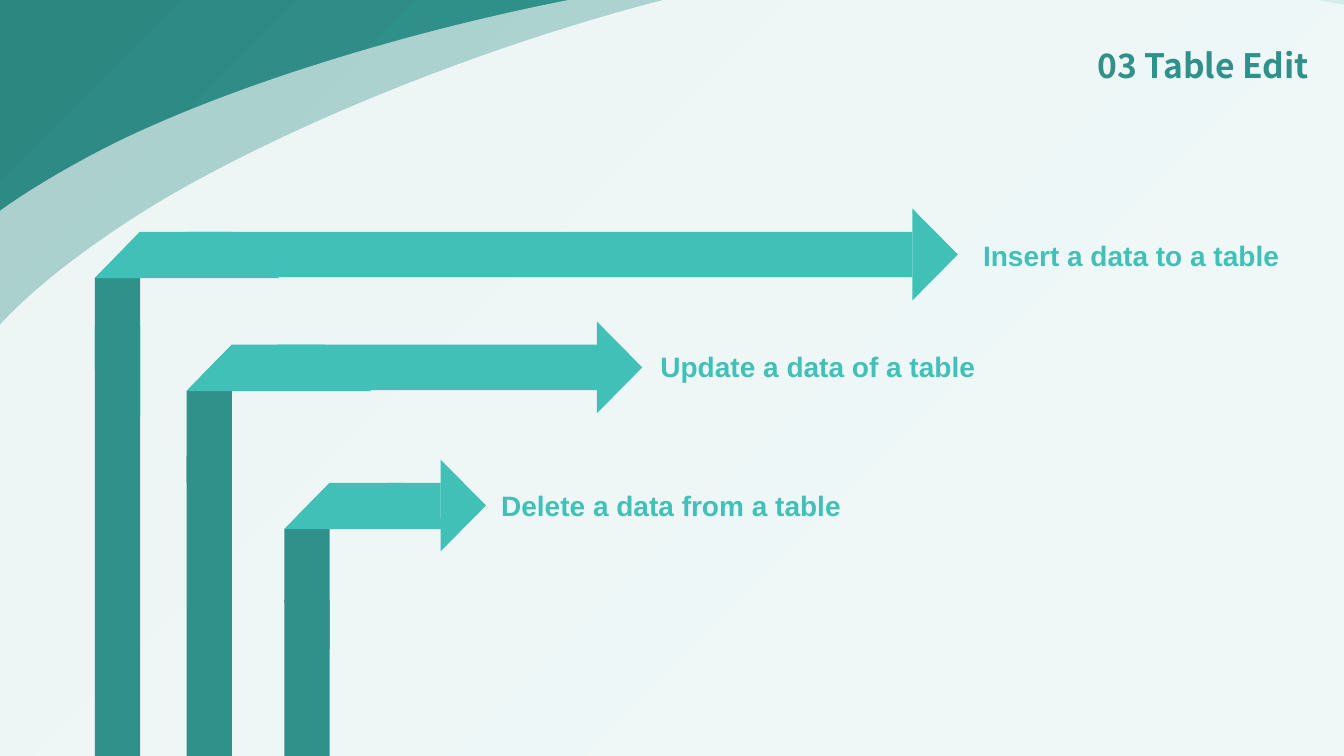
from lxml import etree
from pptx import Presentation
from pptx.dml.color import RGBColor
from pptx.enum.shapes import MSO_SHAPE
from pptx.enum.text import MSO_ANCHOR, PP_ALIGN
from pptx.oxml import parse_xml
from pptx.oxml.ns import nsdecls, qn
from pptx.util import Inches, Pt

RECTANGLE = MSO_SHAPE.RECTANGLE
TRIANGLE = MSO_SHAPE.ISOSCELES_TRIANGLE
LEFT, RIGHT = PP_ALIGN.LEFT, PP_ALIGN.RIGHT
TOP, MIDDLE = MSO_ANCHOR.TOP, MSO_ANCHOR.MIDDLE

WHITE = RGBColor(0xFF, 0xFF, 0xFF)
DEEP_TEAL = RGBColor(0x30, 0x91, 0x8B)
LIGHT_TEAL = RGBColor(0x41, 0xC0, 0xB8)
SEA_TEAL = RGBColor(0x39, 0xAC, 0xA5)
DARK_TEAL = RGBColor(0x2D, 0x87, 0x81)

PAGE_WIDTH, PAGE_HEIGHT = 13.33, 7.5
BAND = 0.45
HEAD_SPAN = 0.91
FOLD = 0.46

BACKDROP_STOPS = [(0, SEA_TEAL), (23, SEA_TEAL), (69, DEEP_TEAL), (97, DARK_TEAL)]

OUTER_WAVE = [
    (-1.35, 3.89), (-1.02, 2.97), (-0.61, 2.34), (0.96, 1.51),
    (2.52, 0.69), (5.64, -0.2), (8.13, -0.32),
    (10.63, -0.43), (14.36, -0.01), (15.92, 0.82),
    (17.49, 1.64), (19.27, 4.16), (18.18, 5.46),
    (17.08, 6.77), (11.33, 9.31), (8.13, 9.57),
    (4.93, 9.82), (0.52, 7.85), (-1.04, 7.02),
    (-2.61, 6.2), (-1.68, 4.81), (-1.35, 3.89),
]
INNER_WAVE = [
    (-0.83, 4.83), (-0.59, 3.88), (-0.25, 3.21), (1.22, 2.23),
    (2.69, 1.25), (5.7, 0.04), (8.17, -0.33),
    (10.64, -0.7), (14.39, -0.66), (16.03, 0),
    (17.67, 0.66), (19.71, 2.98), (18.75, 4.39),
    (17.8, 5.8), (12.34, 8.91), (9.18, 9.5),
    (6.02, 10.09), (1.43, 8.57), (-0.21, 7.91),
    (-1.84, 7.26), (-1.07, 5.78), (-0.83, 4.83),
]

ARROWS = [
    ("Insert a data to a table", 0.94, 2.3, 3.23, 1.84, 9.05, 1.37, (9.7, 2.22, 3.05)),
    ("Update a data of a table", 1.85, 3.42, 4.52, 2.75, 5.92, 1.37, (6.5, 3.32, 3.23)),
    ("Delete a data from a table", 2.82, 4.79, 5.95, 3.84, 4.37, 1.19, (4.92, 4.7, 3.48)),
]


class TableEditSlide:
    def __init__(self, page):
        self.shapes = page.shapes

    def paint(self, shape, color):
        shape.shadow.inherit = False
        shape.fill.solid()
        shape.fill.fore_color.rgb = color
        shape.line.fill.background()
        return shape

    def block(self, kind, left, top, width, height, color):
        shape = self.shapes.add_shape(
            kind, Inches(left), Inches(top), Inches(width), Inches(height))
        return self.paint(shape, color)

    def outline(self, points, color):
        corners = [(Inches(x), Inches(y)) for x, y in points]
        builder = self.shapes.build_freeform(*corners[0])
        builder.add_line_segments(corners[1:], close=True)
        return self.paint(builder.convert_to_shape(), color)

    def backdrop(self):
        shape = self.block(RECTANGLE, 0, 0, PAGE_WIDTH, PAGE_HEIGHT, DEEP_TEAL)
        stops = "".join(
            f'<a:gs pos="{place * 1000}"><a:srgbClr val="{color}"/></a:gs>'
            for place, color in BACKDROP_STOPS)
        gradient = parse_xml(
            f'<a:gradFill {nsdecls("a")} rotWithShape="1"><a:gsLst>{stops}</a:gsLst>'
            '<a:lin ang="13500000" scaled="0"/></a:gradFill>')
        properties = shape.element.spPr
        properties.replace(properties.find(qn("a:solidFill")), gradient)

    def wave(self, points, opacity):
        shape = self.outline(points, WHITE)
        properties = shape.element.spPr
        segments = list(properties.iter(qn("a:lnTo")))
        for start in range(0, len(points) - 1, 3):
            trio = segments[start:start + 3]
            curve = etree.Element(qn("a:cubicBezTo"))
            trio[0].addprevious(curve)
            for segment in trio:
                curve.append(segment[0])
                segment.getparent().remove(segment)
        color = properties.find(qn("a:solidFill"))[0]
        etree.SubElement(color, qn("a:alpha")).set("val", str(opacity * 1000))

    def label(self, text, area, size, font, color, spacing,
              align=LEFT, anchor=TOP, wrap=False):
        box = self.shapes.add_textbox(*map(Inches, area))
        frame = box.text_frame
        frame.word_wrap = wrap
        frame.vertical_anchor = anchor
        frame.margin_left = frame.margin_right = Inches(0.05)
        frame.margin_top = frame.margin_bottom = Inches(0.05)
        frame.text = text
        para = frame.paragraphs[0]
        para.alignment = align
        para.line_spacing = spacing
        span = para.runs[0]
        span.font.name = font
        span.font.size = Pt(size)
        span.font.bold = True
        span.font.color.rgb = color
        properties = span.font._element
        latin = properties.find(qn("a:latin"))
        east_asian = etree.Element(qn("a:ea"))
        east_asian.set("typeface", font)
        latin.addnext(east_asian)

    def folded_arrow(self, caption, left, top, post_top, bar_left, head_left, reach, place):
        right, crease = left + BAND, top + FOLD
        self.outline([(left, top + reach), (left, crease), (right, top),
                      (right, top + reach + FOLD)], DEEP_TEAL)
        self.block(RECTANGLE, left, post_top, BAND, PAGE_HEIGHT - post_top, DEEP_TEAL)
        self.outline([(left + reach, top), (right, top), (left, crease),
                      (left + reach + FOLD, crease)], LIGHT_TEAL)
        self.block(RECTANGLE, bar_left, top, head_left - bar_left, BAND, LIGHT_TEAL)
        head = self.block(TRIANGLE, head_left + (BAND - HEAD_SPAN) / 2, top,
                          HEAD_SPAN, BAND, LIGHT_TEAL)
        head.rotation = 90
        self.label(caption, (*place, 0.41), 20, "Arial", LIGHT_TEAL, 1.3)


def main():
    deck = Presentation()
    deck.slide_width = Inches(PAGE_WIDTH)
    deck.slide_height = Inches(PAGE_HEIGHT)
    slide = TableEditSlide(deck.slides.add_slide(deck.slide_layouts[6]))
    slide.backdrop()
    slide.wave(OUTER_WAVE, 60)
    slide.wave(INNER_WAVE, 80)
    slide.label("03 Table Edit", (7.23, 0.28, 5.8, 0.79), 24, "Noto Sans CJK SC",
                DEEP_TEAL, 0.9, RIGHT, MIDDLE, True)
    for arrow in ARROWS:
        slide.folded_arrow(*arrow)
    deck.save("out.pptx")


if __name__ == "__main__":
    main()
